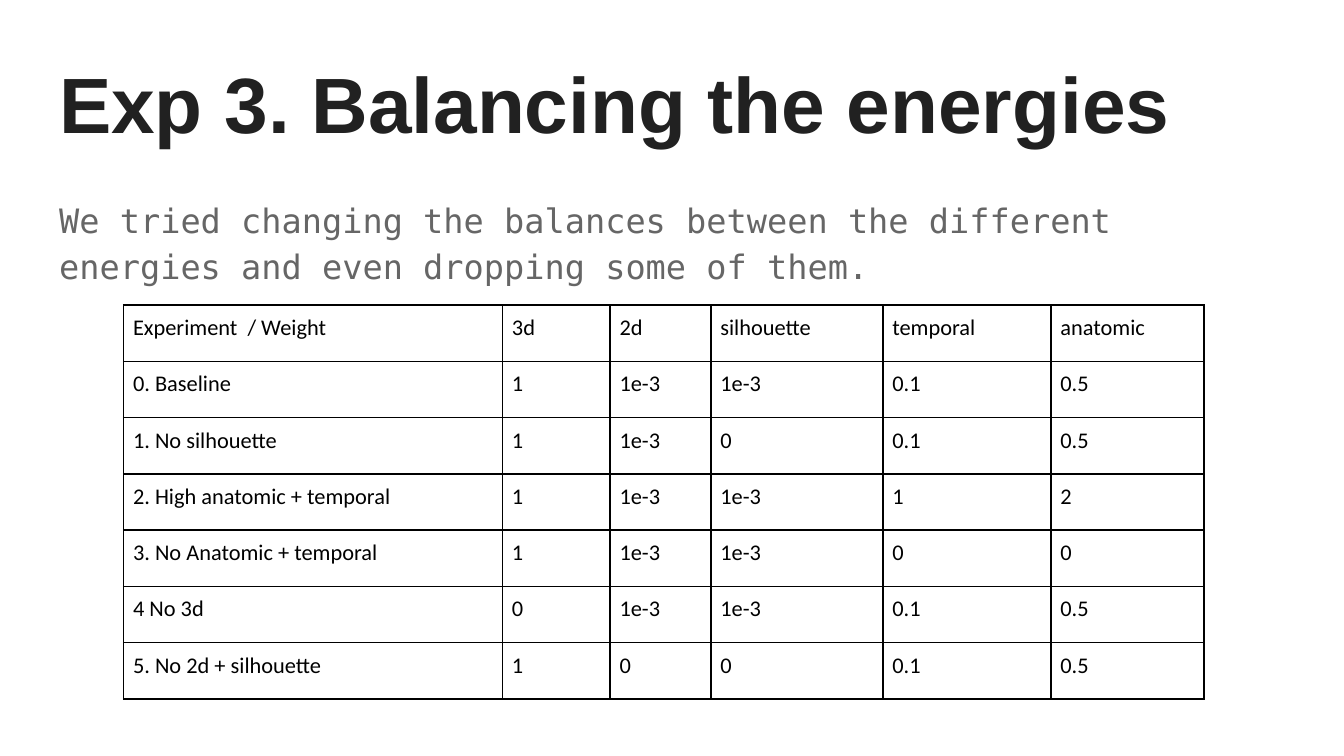
import pptx
import pptx.util
import pptx.dml.color
import pptx.enum.text
import pptx.oxml
import pptx.oxml.ns

Inches = pptx.util.Inches
Pt = pptx.util.Pt
Text = pptx.enum.text

WIDTHS = [2.82, 0.8, 0.75, 1.28, 1.25, 1.14]
ROWS = [
    ["Experiment  / Weight", "3d", "2d", "silhouette", "temporal", "anatomic"],
    ["0. Baseline", "1", "1e-3", "1e-3", "0.1", "0.5"],
    ["1. No silhouette", "1", "1e-3", "0", "0.1", "0.5"],
    ["2. High anatomic + temporal", "1", "1e-3", "1e-3", "1", "2"],
    ["3. No Anatomic + temporal", "1", "1e-3", "1e-3", "0", "0"],
    ["4 No 3d", "0", "1e-3", "1e-3", "0.1", "0.5"],
    ["5. No 2d + silhouette", "1", "0", "0", "0.1", "0.5"],
]


def color(value):
    return pptx.dml.color.RGBColor.from_string(value)


def style(para, font, size, tone, bold=False):
    for run in para.runs:
        run.font.name = font
        run.font.size = Pt(size)
        run.font.bold = bold
        run.font.color.rgb = color(tone)


def place(holder, box, text, anchor, spacing):
    """Move a placeholder into the box and return its one paragraph."""
    holder.left, holder.top, holder.width, holder.height = map(Inches, box)
    frame = holder.text_frame
    frame.text = text
    frame.word_wrap = True
    frame.auto_size = Text.MSO_AUTO_SIZE.NONE
    frame.vertical_anchor = anchor
    frame.margin_left = frame.margin_right = Inches(0.1)
    frame.margin_top = frame.margin_bottom = Inches(0.1)
    para = frame.paragraphs[0]
    para.alignment = Text.PP_ALIGN.LEFT
    para.line_spacing = spacing
    para.space_before = Pt(0)
    return para


def add_title(slide, box, text):
    para = place(slide.shapes.title, box, text, Text.MSO_ANCHOR.MIDDLE, 1.0)
    style(para, "Arial", 42, "212121", bold=True)


def add_body(slide, box, text):
    para = place(slide.placeholders[1], box, text, Text.MSO_ANCHOR.TOP, 1.15)
    props = para._p.get_or_add_pPr()
    props.set("marL", "0")
    props.set("indent", "0")
    props.append(pptx.oxml.parse_xml(
        f"<a:buNone {pptx.oxml.ns.nsdecls('a')}/>"))
    style(para, "DejaVu Sans Mono", 18, "666666")


def add_border(cell, tone, width):
    props = cell._tc.get_or_add_tcPr()
    for side in "LRTB":
        props.append(pptx.oxml.parse_xml(
            f'<a:ln{side} {pptx.oxml.ns.nsdecls("a")} w="{Pt(width)}">'
            f'<a:solidFill><a:srgbClr val="{tone}"/></a:solidFill>'
            f'</a:ln{side}>'))


def fill_cell(cell, text):
    cell.text = text
    cell.margin_left = cell.margin_right = Inches(0.07)
    cell.margin_top = cell.margin_bottom = Inches(0.07)
    cell.vertical_anchor = Text.MSO_ANCHOR.TOP
    style(cell.text_frame.paragraphs[0], "Calibri", 12, "000000")
    add_border(cell, "000000", 1)
    cell.fill.background()


def add_grid(slide, box, widths, rows):
    frame = slide.shapes.add_table(len(rows), len(widths), *map(Inches, box))
    table = frame.table
    table.first_row = table.horz_banding = False
    for col, width in zip(table.columns, widths):
        col.width = Inches(width)
    for r, row in enumerate(rows):
        table.rows[r].height = Inches(box[3] / len(rows))
        for c, text in enumerate(row):
            fill_cell(table.cell(r, c), text)


def main():
    deck = pptx.Presentation()
    deck.slide_width = Inches(10)
    deck.slide_height = deck.slide_width * 9 // 16
    slide = deck.slides.add_slide(deck.slide_layouts[1])
    add_title(slide, (0.34, 0.32, 9.32, 0.88), "Exp 3. Balancing the energies")
    add_body(slide, (0.34, 1.34, 9.32, 3.65),
             "We tried changing the balances between the different energies "
             "and even dropping some of them.")
    add_grid(slide, (0.92, 2.27, sum(WIDTHS), 2.93), WIDTHS, ROWS)
    deck.save("out.pptx")


if __name__ == "__main__":
    main()
